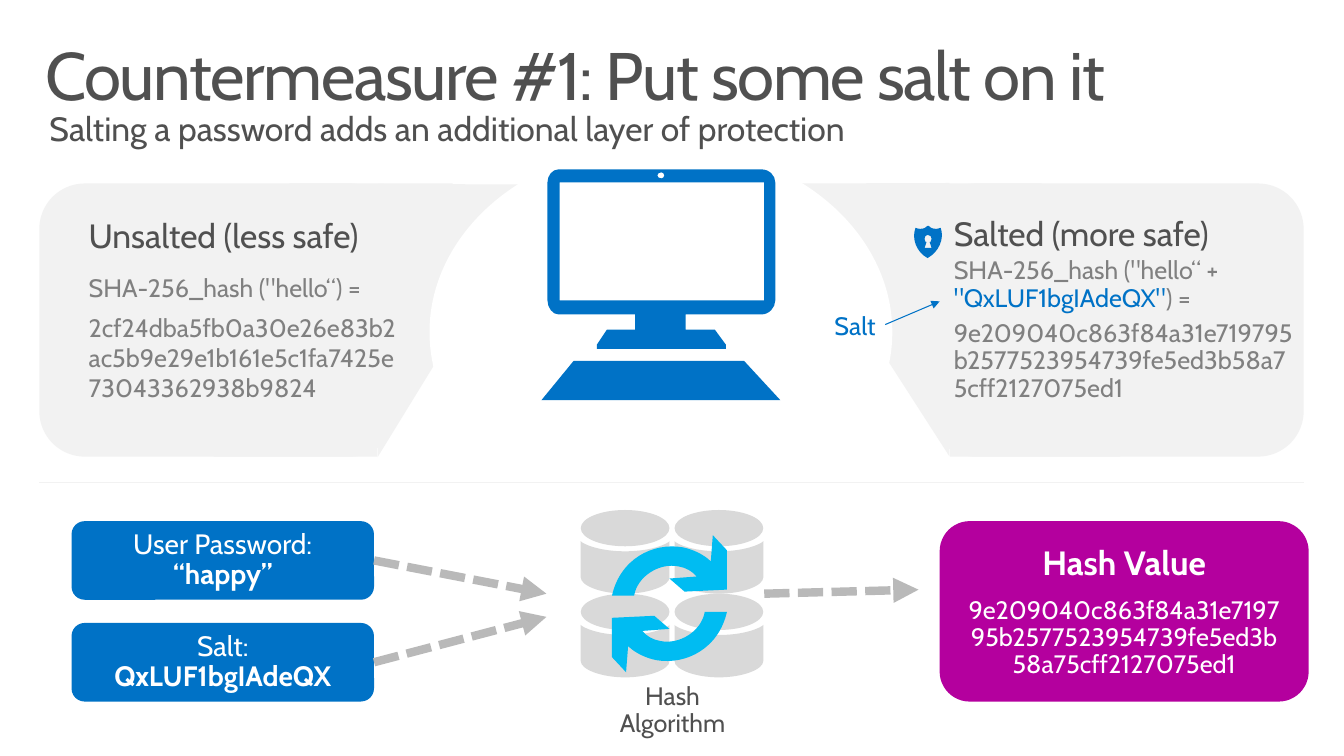
"""Builds a slide that explains how salting protects a hashed password."""
from dataclasses import dataclass

from lxml import etree
from pptx import Presentation
from pptx.dml.color import RGBColor
from pptx.enum.dml import MSO_LINE
from pptx.enum.shapes import MSO_CONNECTOR, MSO_SHAPE
from pptx.enum.text import MSO_ANCHOR, MSO_AUTO_SIZE, PP_ALIGN
from pptx.oxml.ns import qn
from pptx.util import Pt

PX = 9144
FONT = "Cabin"
LEFT, CENTER = PP_ALIGN.LEFT, PP_ALIGN.CENTER
TOP, MIDDLE = MSO_ANCHOR.TOP, MSO_ANCHOR.MIDDLE
RECT, ROUND = MSO_SHAPE.RECTANGLE, MSO_SHAPE.ROUNDED_RECTANGLE
TRIANGLE, OVAL = MSO_SHAPE.ISOSCELES_TRIANGLE, MSO_SHAPE.OVAL
COLORS = {
    "ink": "505050", "code": "808080", "blue": "0072C6", "cyan": "00BCF2",
    "purple": "B4009E", "panel": "F2F2F2", "cylinder": "D9D9D9",
    "arrow": "B9B9B9", "white": "FFFFFF",
}
SALTED_HASH = "9e209040c863f84a31e719795b2577523954739fe5ed3b58a75cff2127075ed1"
UNSALTED_HASH = "2cf24dba5fb0a30e26e83b2ac5b9e29e1b161e5c1fa7425e73043362938b9824"
SALT = "QxLUF1bgIAdeQX"

PANELS = [
    (ROUND, (39, 182, 354, 271), 0, None),
    (TRIANGLE, (322, 235, 271, 166), 90, 0.002),
    (RECT, (287, 182, 162, 39), 0, None),
    (RECT, (212, 414, 162, 39), 0, None),
    (ROUND, (922, 182, 371, 271), 0, None),
    (TRIANGLE, (719, 230, 271, 174), 270, 0.998),
    (RECT, (864, 182, 169, 40), 0, None),
    (RECT, (942, 413, 169, 40), 0, None),
]
COMPUTER = [
    [(569, 358), (738, 358), (774, 397), (537, 397)],
    [(592, 342), (720, 342), (720, 346), (592, 346)],
    [(555, 181), (555, 298), (630, 298), (680, 298), (758, 298), (758, 181)],
    [(656, 171), (654, 171, 652, 172, 652, 174), (652, 176, 654, 177, 656, 177),
     (657, 177, 659, 176, 659, 174), (659, 172, 657, 171, 656, 171)],
    [(554, 168), (755, 168), (763, 168, 769, 174, 769, 181), (769, 298),
     (769, 305, 763, 312, 755, 312), (680, 312), (680, 327), (709, 327),
     (720, 342), (592, 342), (602, 327), (630, 327),
     (630, 312), (554, 312), (548, 312, 543, 305, 543, 298), (543, 181),
     (543, 174, 548, 168, 554, 168)],
]
SHIELD = [
    [(920, 233), (918, 233, 917, 235, 917, 237), (917, 238, 917, 239, 918, 240),
     (919, 240), (917, 246), (924, 246), (922, 240), (923, 240),
     (924, 239, 924, 238, 924, 237), (924, 235, 923, 233, 920, 233)],
    [(920, 224), (921, 224), (922, 225, 924, 227, 928, 227),
     (929, 227, 931, 227, 933, 226), (937, 237, 931, 250, 920, 256),
     (909, 250, 904, 237, 908, 226), (910, 227, 912, 227, 913, 227),
     (917, 227, 919, 225, 920, 224)],
]
CYLINDER = [
    [(0, 31), (1, 32), (9, 37, 25, 41, 44, 41), (63, 41, 79, 37, 87, 32),
     (88, 31), (88, 67), (88, 75, 68, 83, 44, 83), (20, 83, 0, 75, 0, 67)],
    [(44, 0), (68, 0, 88, 8, 88, 18), (88, 28, 68, 36, 44, 36),
     (20, 36, 0, 28, 0, 18), (0, 8, 20, 0, 44, 0)],
]
CYCLE_ARROW = [
    (721, 546), (721, 585), (679, 587), (664, 574), (691, 572),
    (687, 567, 680, 563, 673, 562), (654, 558, 632, 572, 629, 591), (607, 591),
    (615, 555, 647, 538, 677, 543), (687, 545, 698, 550, 705, 557), (707, 531),
]


@dataclass
class Line:
    """One paragraph, whose text is a string or a list of (text, color) runs."""
    text: str | list
    size: float
    color: str = "ink"
    bold: bool = False
    align: PP_ALIGN = LEFT
    spacing: float = 0.9
    before: float = 0
    after: float = 0


def rgb(name):
    """Return a named colour."""
    return RGBColor.from_string(COLORS[name])


def write(frame, lines, anchor=TOP, insets=(20, 16)):
    """Fill a text frame with formatted paragraphs."""
    frame.word_wrap = True
    frame.vertical_anchor = anchor
    frame.margin_left = frame.margin_right = insets[0] * PX
    frame.margin_top = frame.margin_bottom = insets[1] * PX
    for index, line in enumerate(lines):
        paragraph = frame.add_paragraph() if index else frame.paragraphs[0]
        paragraph.alignment = line.align
        paragraph.line_spacing = line.spacing
        paragraph.space_before, paragraph.space_after = Pt(line.before), Pt(line.after)
        font = paragraph.font
        font.name, font.size, font.bold = FONT, Pt(line.size), line.bold
        font.color.rgb = rgb(line.color)
        runs = [(line.text, None)] if isinstance(line.text, str) else line.text
        for text, color in runs:
            run = paragraph.add_run()
            run.text = text
            if color:
                run.font.color.rgb = rgb(color)


def paint(shape, color):
    """Give a shape a plain fill without line or shadow."""
    shape.shadow.inherit = False
    shape.fill.solid()
    shape.fill.fore_color.rgb = rgb(color)
    shape.line.fill.background()
    return shape


def add_block(slide, kind, box, color, rotation=0, adjustment=None):
    """Add a preset shape in one colour."""
    shape = slide.shapes.add_shape(kind, *(value * PX for value in box))
    shape.rotation = rotation
    if adjustment is not None:
        shape.adjustments[0] = adjustment
    return paint(shape, color)


def add_text(slide, box, *lines):
    """Add a text box that grows with its text."""
    frame = slide.shapes.add_textbox(*(value * PX for value in box)).text_frame
    write(frame, lines)
    frame.auto_size = MSO_AUTO_SIZE.SHAPE_TO_FIT_TEXT


def add_icon(slide, contours, color, left=0, top=0):
    """Add a freeform of closed contours, whose six-number segments are curves."""
    builder = None
    for contour in contours:
        start, *points = [(x + left, y + top) for segment in contour
                          for x, y in zip(segment[::2], segment[1::2])]
        if builder:
            builder.move_to(*start)
        else:
            builder = slide.shapes.build_freeform(*start, scale=PX)
        builder.add_line_segments(points)
    shape = paint(builder.convert_to_shape(), color)
    steps = iter(list(shape._element.iter(qn("a:lnTo"))))
    for segment in (segment for contour in contours for segment in contour[1:]):
        step = next(steps)
        if len(segment) == 6:
            step.tag_name = None
            curve = etree.Element(qn("a:cubicBezTo"))
            step.addprevious(curve)
            for corner in (step, next(steps), next(steps)):
                curve.append(corner[0])
                corner.getparent().remove(corner)


def add_line(slide, ends, color, width=0.75, dashed=False, arrow=True):
    """Add a straight line, dashed or with an arrowhead on demand."""
    connector = slide.shapes.add_connector(
        MSO_CONNECTOR.STRAIGHT, *(value * PX for value in ends))
    connector.line.color.rgb = rgb(color)
    connector.line.width = Pt(width)
    if dashed:
        connector.line.dash_style = MSO_LINE.SQUARE_DOT
    properties = connector._element.spPr
    if arrow:
        etree.SubElement(properties.find(qn("a:ln")), qn("a:tailEnd"), type="triangle")
    etree.SubElement(properties, qn("a:effectLst"))


def add_title(slide, text):
    """Place and format the title placeholder."""
    title = slide.shapes.title
    title.left, title.top, title.width, title.height = (
        value * PX for value in (29, 32, 1275, 98))
    write(title.text_frame, [Line(text, 48)], insets=(16, 10))
    title.text_frame.auto_size = MSO_AUTO_SIZE.NONE
    title.text_frame.paragraphs[0].runs[0]._r.get_or_add_rPr().set("spc", "-100")


def add_comparison(slide):
    """Add the unsalted and salted panels around the computer."""
    for kind, box, rotation, adjustment in PANELS:
        add_block(slide, kind, box, "panel", rotation, adjustment)
    add_block(slide, OVAL, (426, 143, 459, 373), "white")
    call = [('SHA-256_hash ("hello“ + ', "code"), (f'"{SALT}"', "blue"), (") =", "code")]
    add_text(slide, (926, 240, 377, 177), Line(call, 18, "code", after=6),
             Line(SALTED_HASH, 18, "code", after=6))
    add_icon(slide, COMPUTER, "blue")
    add_text(slide, (68, 202, 377, 69), Line("Unsalted (less safe)", 24, after=6))
    add_text(slide, (926, 200, 377, 69), Line("Salted (more safe)", 24, after=6))
    add_text(slide, (68, 258, 354, 159),
             Line('SHA-256_hash ("hello“) =', 18, "code", after=6),
             Line(UNSALTED_HASH, 18, "code", spacing=1))
    add_icon(slide, SHIELD, "blue")
    add_text(slide, (804, 298, 88, 60), Line("Salt", 18, "blue", align=CENTER, after=6))
    add_line(slide, (878, 322, 932, 299), "blue")


def add_hash_flow(slide):
    """Add the flow from password and salt to the hash value."""
    for top, label, value in ((517, "User Password:", "“happy”"), (618, "Salt:", SALT)):
        source = add_block(slide, ROUND, (71, top, 300, 78), "blue")
        write(source.text_frame, [Line(label, 20, "white", align=CENTER),
                                  Line(value, 20, "white", True, CENTER)], MIDDLE)
    for top in (506, 589):
        for left in (576, 669):
            add_icon(slide, CYLINDER, "cylinder", left, top)
    turned = [tuple((1328, 1198)[index % 2] - value for index, value in enumerate(segment))
              for segment in CYCLE_ARROW]
    add_icon(slide, [CYCLE_ARROW, turned], "cyan")
    result = add_block(slide, ROUND, (932, 517, 366, 179), "purple")
    write(result.text_frame, [Line("Hash Value", 24, "white", True, CENTER),
                              Line(SALTED_HASH, 18, "white", align=CENTER, before=11)])
    for ends in ((371, 556, 542, 589), (371, 657, 542, 612), (758, 589, 911, 585)):
        add_line(slide, ends, "arrow", 6, dashed=True)


def main():
    """Build and save the slide."""
    presentation = Presentation()
    presentation.slide_width, presentation.slide_height = 1333 * PX, 750 * PX
    slide = presentation.slides.add_slide(presentation.slide_layouts[5])
    add_title(slide, "Countermeasure #1: Put some salt on it")
    add_comparison(slide)
    add_hash_flow(slide)
    add_text(slide, (29, 96, 1239, 69),
             Line("Salting a password adds an additional layer of protection", 24, after=6))
    add_text(slide, (576, 662, 182, 87), Line("Hash Algorithm", 18, align=CENTER, after=6))
    add_line(slide, (39, 479, 1293, 479), "panel", arrow=False)
    presentation.save("out.pptx")


if __name__ == "__main__":
    main()
